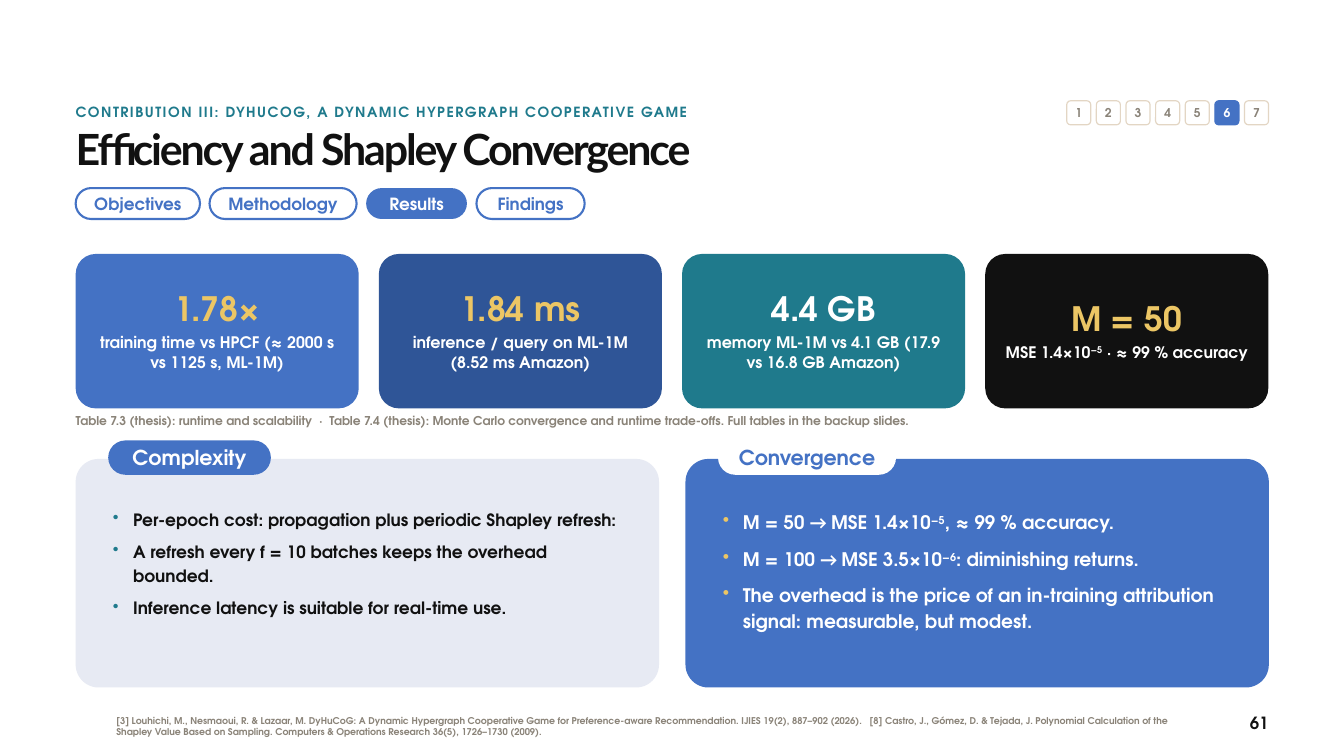
"""Build the efficiency and Shapley convergence results slide."""
import lxml.etree
import pptx
import pptx.dml.color
import pptx.enum.shapes
import pptx.enum.text
import pptx.oxml.ns
import pptx.util

Cm, Pt = pptx.util.Cm, pptx.util.Pt
RGBColor = pptx.dml.color.RGBColor
Align = pptx.enum.text.PP_ALIGN
Anchor = pptx.enum.text.MSO_ANCHOR
qn = pptx.oxml.ns.qn

WHITE = RGBColor(0xFF, 0xFF, 0xFF)
BLACK = RGBColor(0x11, 0x11, 0x11)
BLUE = RGBColor(0x44, 0x72, 0xC4)
NAVY = RGBColor(0x2F, 0x55, 0x97)
TEAL = RGBColor(0x1F, 0x7A, 0x8C)
GOLD = RGBColor(0xEC, 0xC6, 0x65)
GREY = RGBColor(0x8A, 0x83, 0x78)
SAND = RGBColor(0xE3, 0xD6, 0xC4)
PALE = RGBColor(0xE7, 0xEA, 0xF3)

LEFT, WIDTH = 2.86, 45.08


class Deck:
    """Hold the style and the current slide."""

    font = "TeX Gyre Adventor"
    arrow_font = "Calibri"
    indent = 0.76

    def __init__(self, prs):
        self.slide = prs.slides.add_slide(prs.slide_layouts[6])

    def para(self, p, text, size, color, spacing, align=Align.LEFT, before=0,
             font=None, tracking=0):
        """Fill a paragraph; "|" parts runs, "−" opens a superscript, "→" an arrow."""
        p.alignment = align
        p.line_spacing = Pt(spacing)
        if before:
            p.space_before = Pt(before)
        for piece in text.split("|"):
            r = p.add_run()
            r.text = piece
            r.font.name = self.arrow_font if piece.startswith("→") else font or self.font
            r.font.size = Pt(size)
            r.font.bold = True
            r.font.color.rgb = color
            rPr = r._r.get_or_add_rPr()
            if piece.startswith("−"):
                rPr.set("baseline", "30000")
            if tracking:
                rPr.set("spc", str(round(tracking * 100)))

    def frame(self, sp, inset=(0, 0), anchor=Anchor.TOP):
        """Prepare the text frame of a shape."""
        tf = sp.text_frame
        tf.word_wrap = True
        tf.margin_left = tf.margin_right = Cm(inset[0])
        tf.margin_top = tf.margin_bottom = Cm(inset[1])
        tf.vertical_anchor = anchor
        return tf

    def text_box(self, x, y, w, h, anchor=Anchor.TOP):
        """Add an empty text box and return its frame."""
        sp = self.slide.shapes.add_textbox(Cm(x), Cm(y), Cm(w), Cm(h))
        return self.frame(sp, anchor=anchor)

    def label(self, x, y, w, h, text, size, color, spacing, anchor=Anchor.TOP, **style):
        """Add a text box with one paragraph."""
        tf = self.text_box(x, y, w, h, anchor)
        self.para(tf.paragraphs[0], text, size, color, spacing, **style)

    def box(self, x, y, w, h, radius, fill=None, line=None, weight=2.25):
        """Add a rounded rectangle."""
        kind = pptx.enum.shapes.MSO_SHAPE.ROUNDED_RECTANGLE
        sp = self.slide.shapes.add_shape(kind, Cm(x), Cm(y), Cm(w), Cm(h))
        sp.adjustments[0] = radius
        sp.shadow.inherit = False
        if fill is None:
            sp.fill.background()
        else:
            sp.fill.solid()
            sp.fill.fore_color.rgb = fill
        if line is None:
            sp.line.fill.background()
        else:
            sp.line.color.rgb = line
            sp.line.width = Pt(weight)
        return sp

    def pill(self, x, y, w, h, text, size, color, fill=None, line=None):
        """Add a fully rounded label."""
        tf = self.frame(self.box(x, y, w, h, 0.5, fill, line), (0.13, 0), Anchor.MIDDLE)
        self.para(tf.paragraphs[0], text, size, color, size * 1.2, Align.CENTER)

    def step(self, x, y, side, number, current):
        """Add a section number square."""
        fill, line, color = (BLUE, BLUE, WHITE) if current else (WHITE, SAND, GREY)
        sp = self.box(x, y, side, side, 0.167, fill, line, 1.25)
        tf = self.frame(sp, anchor=Anchor.MIDDLE)
        self.para(tf.paragraphs[0], str(number), 13, color, 15, Align.CENTER)

    def card(self, x, y, w, h, figure, caption, fill, color):
        """Add a key figure card."""
        tf = self.frame(self.box(x, y, w, h, 0.13, fill), (0.38, 0.25), Anchor.MIDDLE)
        self.para(tf.paragraphs[0], figure, 36, color, 39.6, Align.CENTER)
        self.para(tf.add_paragraph(), caption, 17, WHITE, 21.2, Align.CENTER, 4)

    def bullets(self, x, y, w, h, items, size, color, mark, spacings):
        """Add a bulleted list."""
        tf = self.text_box(x, y, w, h)
        for i, (item, spacing) in enumerate(zip(items, spacings)):
            p = tf.add_paragraph() if i else tf.paragraphs[0]
            self.para(p, item, size, color, spacing, before=size / 2 if i else 0)
            pPr = p._p.get_or_add_pPr()
            pPr.set("marL", str(Cm(self.indent)))
            pPr.set("indent", str(-Cm(self.indent)))
            clr = lxml.etree.SubElement(pPr, qn("a:buClr"))
            lxml.etree.SubElement(clr, qn("a:srgbClr")).set("val", str(mark))
            lxml.etree.SubElement(pPr, qn("a:buChar")).set("char", "•")


def main():
    prs = pptx.Presentation()
    prs.slide_width, prs.slide_height = Cm(50.8), Cm(28.58)
    deck = Deck(prs)

    deck.label(4.4, 26.67, 40.26, 1.57,
               "[3] Louhichi, M., Nesmaoui, R. & Lazaar, M. DyHuCoG: A Dynamic Hypergraph "
               "Cooperative Game for Preference-aware Recommendation. IJIES 19(2), 887–902 "
               "(2026).   [8] Castro, J., Gómez, D. & Tejada, J. Polynomial Calculation of the "
               "Shapley Value Based on Sampling. Computers & Operations Research 36(5), "
               "1726–1730 (2009).", 10, GREY, 12, Anchor.MIDDLE)
    deck.label(44.9, 26.92, 3.05, 0.91, "61", 18, BLACK, 22, align=Align.RIGHT)
    deck.label(LEFT, 3.86, 35.94, 0.91,
               "CONTRIBUTION III: DYHUCOG, A DYNAMIC HYPERGRAPH COOPERATIVE GAME",
               15, TEAL, 20, tracking=1.6)
    deck.label(LEFT, 4.78, WIDTH, 2.03, "Efficiency and Shapley Convergence",
               46, BLACK, 50.6, font="Lato", tracking=-2.3)

    for i in range(7):
        deck.step(40.32 + 1.12 * i, 3.81, 0.91, i + 1, i == 5)

    x = LEFT
    for name, w in (("Objectives", 4.7), ("Methodology", 5.56),
                    ("Results", 3.81), ("Findings", 4.09)):
        if name == "Results":
            deck.pill(x, 7.11, w, 1.17, name, 18, WHITE, fill=BLUE)
        else:
            deck.pill(x, 7.11, w, 1.17, name, 18, BLUE, line=BLUE)
        x += w + 0.36

    cards = (
        ("1.78×", "training time vs HPCF (≈ 2000 s vs 1125 s, ML-1M)", BLUE, GOLD),
        ("1.84 ms", "inference / query on ML-1M (8.52 ms Amazon)", NAVY, GOLD),
        ("4.4 GB", "memory ML-1M vs 4.1 GB (17.9 vs 16.8 GB Amazon)", TEAL, WHITE),
        ("M = 50", "MSE 1.4×10|−5| · ≈ 99 % accuracy", BLACK, GOLD),
    )
    card_w, gap = 10.7, 0.76
    for i, card in enumerate(cards):
        deck.card(LEFT + i * (card_w + gap), 9.6, card_w, 5.84, *card)

    deck.label(LEFT, 15.57, WIDTH, 1.14,
               "Table 7.3 (thesis): runtime and scalability  ·  Table 7.4 (thesis): Monte Carlo "
               "convergence and runtime trade-offs. Full tables in the backup slides.",
               13, GREY, 17)

    complexity = (
        "Per-epoch cost: propagation plus periodic Shapley refresh:",
        "A refresh every f = 10 batches keeps the overhead bounded.",
        "Inference latency is suitable for real-time use.",
    )
    convergence = (
        "M = 50 |→ |MSE 1.4×10|−5|, ≈ 99 % accuracy.",
        "M = 100 |→ |MSE 3.5×10|−6|: diminishing returns.",
        "The overhead is the price of an in-training attribution signal: "
        "measurable, but modest.",
    )
    panels = (
        (LEFT, PALE, "Complexity", 6.07, WHITE, BLUE,
         4.32, complexity, 18.2, BLACK, TEAL, (25.5, 25.5, 25.5)),
        (25.91, BLUE, "Convergence", 6.65, BLUE, WHITE,
         6.1, convergence, 20, WHITE, GOLD, (29.6, 29.6, 28)),
    )
    for x, fill, title, tab_w, title_color, tab_fill, body_h, *body in panels:
        deck.box(x, 17.35, 22.05, 8.64, 0.1, fill)
        deck.pill(x + 1.27, 16.69, tab_w, 1.22, title, 22, title_color, tab_fill, tab_fill)
        deck.bullets(x + 1.41, 19.13, 19.35, body_h, *body)

    prs.save("out.pptx")


if __name__ == "__main__":
    main()
